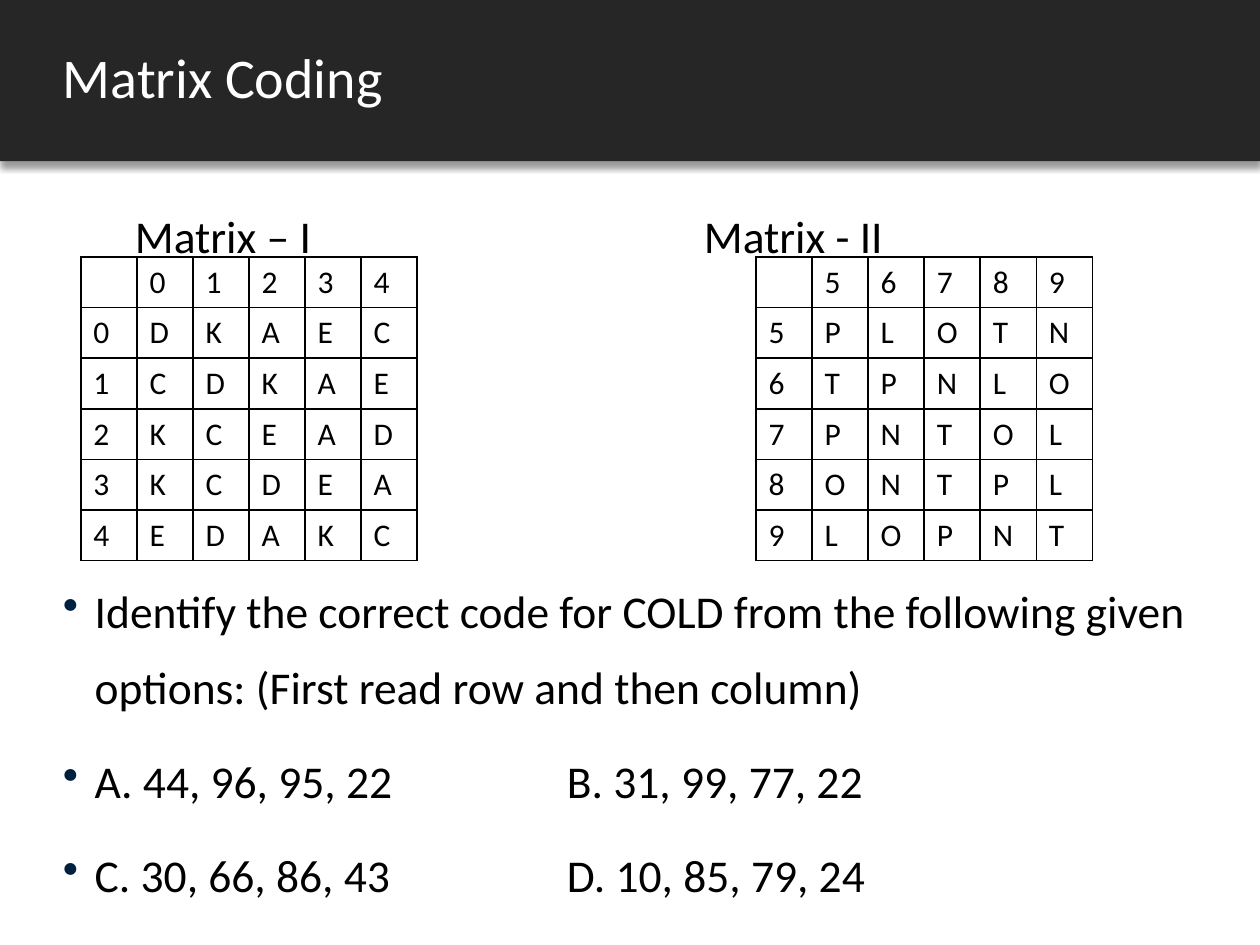
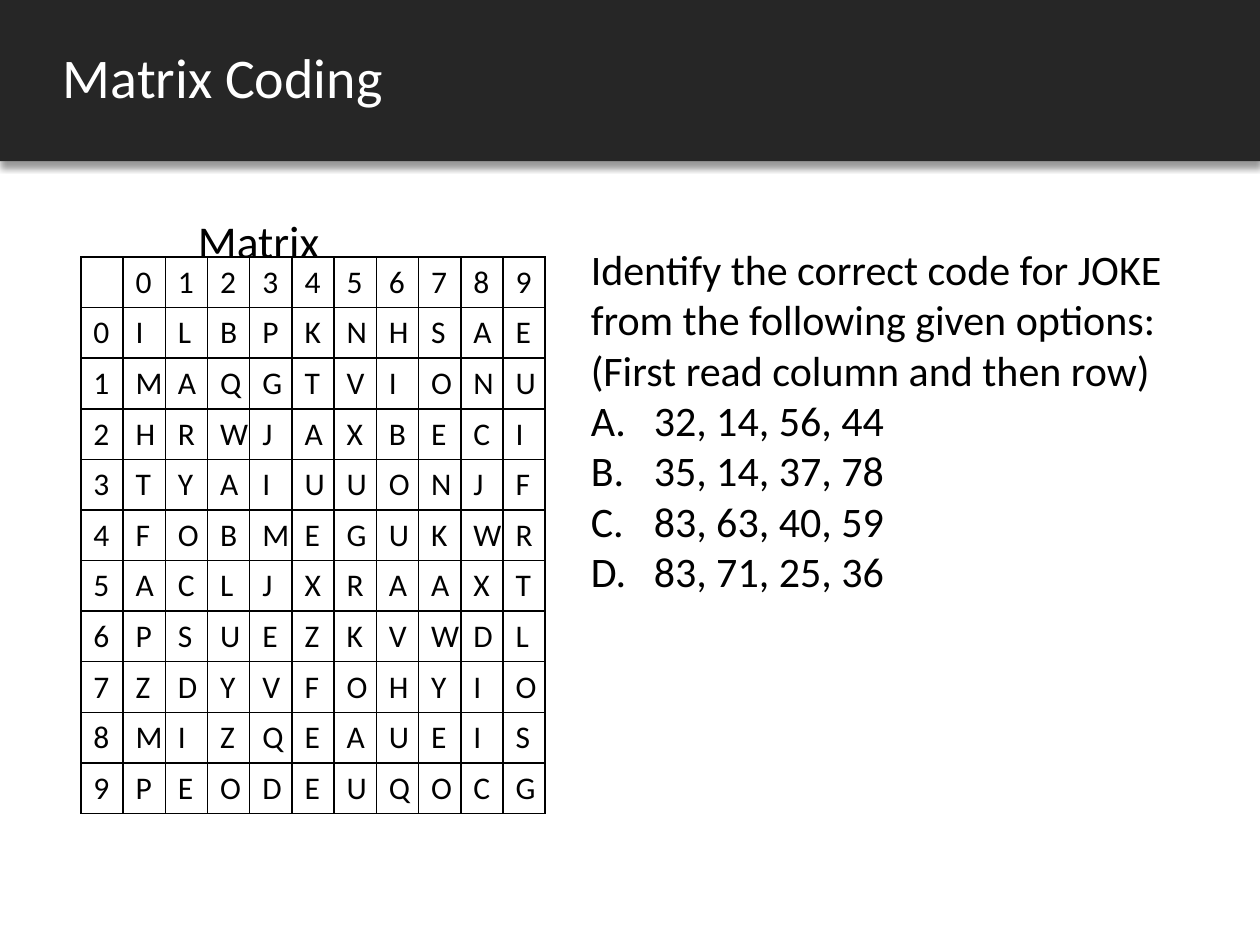
from dataclasses import dataclass

from lxml.etree import SubElement
from pptx import Presentation
from pptx.dml.color import RGBColor
from pptx.enum.shapes import MSO_SHAPE as Shape
from pptx.enum.text import MSO_ANCHOR as Anchor
from pptx.oxml import parse_xml
from pptx.oxml.ns import nsdecls, qn
from pptx.util import Cm, Pt


@dataclass(frozen=True)
class Theme:
    font: str = "Calibri"
    band: str = "262626"
    title_ink: str = "FFFFFF"
    ink: str = "000000"
    paper: str = "FFFFFF"
    bullet: str = "00203F"
    title_size: int = 32
    body_size: int = 26
    option_size: int = 24
    cell_size: int = 18


THEME = Theme()
SLIDE_WIDTH, SLIDE_HEIGHT = 25.4, 19.05
BAND_HEIGHT = 3.25
TITLE_LEFT = 1.02
MATRIX_TOP = 5.18
ROW_HEIGHT = 1.02

MATRIX_ONE = ["DKAEC", "CDKAE", "KCEAD", "KCDEA", "EDAKC"]
MATRIX_TWO = ["PLOTN", "TPNLO", "PNTOL", "ONTPL", "LOPNT"]
LARGE_MATRIX = [
    "ILBPKNHSAE", "MAQGTVIONU", "HRWJAXBECI", "TYAIUUONJF", "FOBMEGUKWR",
    "ACLJXRAAXT", "PSUEZKVWDL", "ZDYVFOHYIO", "MIZQEAUEIS", "PEODEUQOCG",
]


def style(para, size, color=THEME.ink):
    para.font.name = THEME.font
    para.font.size = Pt(size)
    para.font.color.rgb = RGBColor.from_string(color)


def hang(para, indent, marker, *leading):
    properties = para._p.get_or_add_pPr()
    properties.set("marL", str(Cm(indent)))
    properties.set("indent", str(-Cm(indent)))
    for element in (*leading, marker):
        properties.append(parse_xml(element.replace("/>", f" {nsdecls('a')}/>", 1)
                                    if element.endswith("/>") and element.count("<") == 1
                                    else element.replace(">", f" {nsdecls('a')}>", 1)))
    return properties


def add_text(slide, lines, left, top, width, height, size, color=THEME.ink):
    box = slide.shapes.add_textbox(Cm(left), Cm(top), Cm(width), Cm(height))
    frame = box.text_frame
    frame.word_wrap = True
    frame.text = "\n".join(lines)
    for para in frame.paragraphs:
        style(para, size, color)
    return frame


def add_title_band(slide, title):
    band = slide.shapes.add_shape(Shape.RECTANGLE, 0, 0, Cm(SLIDE_WIDTH), Cm(BAND_HEIGHT))
    band.shadow.inherit = False
    band.fill.solid()
    band.fill.fore_color.rgb = RGBColor.from_string(THEME.band)
    band.line.fill.background()
    effects = band._element.spPr.find(qn("a:effectLst"))
    shadow = SubElement(effects, qn("a:outerShdw"), blurRad=str(Pt(4)), dist=str(Pt(3)),
                        dir="5400000", algn="t", rotWithShape="0")
    shade = SubElement(shadow, qn("a:srgbClr"), val=THEME.ink)
    SubElement(shade, qn("a:alpha"), val="40000")
    frame = add_text(slide, [title], TITLE_LEFT, 0, SLIDE_WIDTH - TITLE_LEFT, BAND_HEIGHT,
                     THEME.title_size, THEME.title_ink)
    frame.vertical_anchor = Anchor.MIDDLE
    frame.paragraphs[0].line_spacing = 0.9


def border_cell(cell):
    properties = cell._tc.get_or_add_tcPr()
    for position, side in enumerate(("lnL", "lnR", "lnT", "lnB")):
        properties.insert(position, parse_xml(
            f'<a:{side} {nsdecls("a")} w="{Pt(1)}"><a:solidFill>'
            f'<a:srgbClr val="{THEME.ink}"/></a:solidFill></a:{side}>'))


def add_matrix(slide, letters, first_index, left, width):
    indices = [str(first_index + offset) for offset in range(len(letters))]
    rows = [["", *indices]] + [[index, *row] for index, row in zip(indices, letters)]
    count = len(rows)
    table = slide.shapes.add_table(count, count, Cm(left), Cm(MATRIX_TOP),
                                   Cm(width), Cm(count * ROW_HEIGHT)).table
    table.first_row = table.horz_banding = False
    for column in table.columns:
        column.width = Cm(width / count)
    for table_row, values in zip(table.rows, rows):
        table_row.height = Cm(ROW_HEIGHT)
        for cell, value in zip(table_row.cells, values):
            cell.text = value
            cell.fill.solid()
            cell.fill.fore_color.rgb = RGBColor.from_string(THEME.paper)
            border_cell(cell)
            style(cell.text_frame.paragraphs[0], THEME.cell_size)


def add_label(slide, label, left, top):
    add_text(slide, [label], left, top, 5, 1.3, THEME.body_size)


def add_bulleted_question(slide, lines):
    frame = add_text(slide, [], TITLE_LEFT, 11.19, 23.85, 7.4, THEME.body_size)
    frame.text = "\n".join(lines)
    for number, para in enumerate(frame.paragraphs):
        hang(para, 0.64, '<a:buChar char="•"/>',
             f'<a:buClr><a:srgbClr val="{THEME.bullet}"/></a:buClr>')
        if "\t" in para.text:
            tabs = SubElement(para._p.pPr, qn("a:tabLst"))
            SubElement(tabs, qn("a:tab"), pos=str(Cm(10.16)), algn="l")
        para.line_spacing = 1.4
        if number:
            para.space_before = Pt(10)
        style(para, THEME.body_size)


def add_lettered_question(slide, question, options):
    frame = add_text(slide, [question], 11.66, 4.78, 13.74, 8.46, THEME.option_size)
    for option in options:
        para = frame.add_paragraph()
        para.text = option
        hang(para, 1.27, '<a:buAutoNum type="alphaUcPeriod"/>')
        style(para, THEME.option_size)


def add_slide(deck):
    slide = deck.slides.add_slide(deck.slide_layouts[6])
    add_title_band(slide, "Matrix Coding")
    return slide


def main():
    deck = Presentation()
    deck.slide_width, deck.slide_height = Cm(SLIDE_WIDTH), Cm(SLIDE_HEIGHT)

    pair = add_slide(deck)
    add_label(pair, "Matrix – I", 2.47, 4.06)
    add_label(pair, "Matrix - II", 13.94, 4.06)
    add_bulleted_question(pair, [
        "Identify the correct code for COLD from the following given options: "
        "(First read row and then column)",
        "A. 44, 96, 95, 22\tB. 31, 99, 77, 22",
        "C. 30, 66, 86, 43\tD. 10, 85, 79, 24",
    ])
    add_matrix(pair, MATRIX_ONE, 0, 1.63, 6.78)
    add_matrix(pair, MATRIX_TWO, 5, 15.24, 6.78)

    single = add_slide(deck)
    add_label(single, "Matrix", 3.74, 4.17)
    add_matrix(single, LARGE_MATRIX, 0, 1.63, 9.37)
    add_lettered_question(
        single,
        "Identify the correct code for JOKE from the following given options: "
        "(First read column and then row)",
        ["32, 14, 56, 44", "35, 14, 37, 78", "83, 63, 40, 59", "83, 71, 25, 36"],
    )
    deck.save("out.pptx")


if __name__ == "__main__":
    main()
